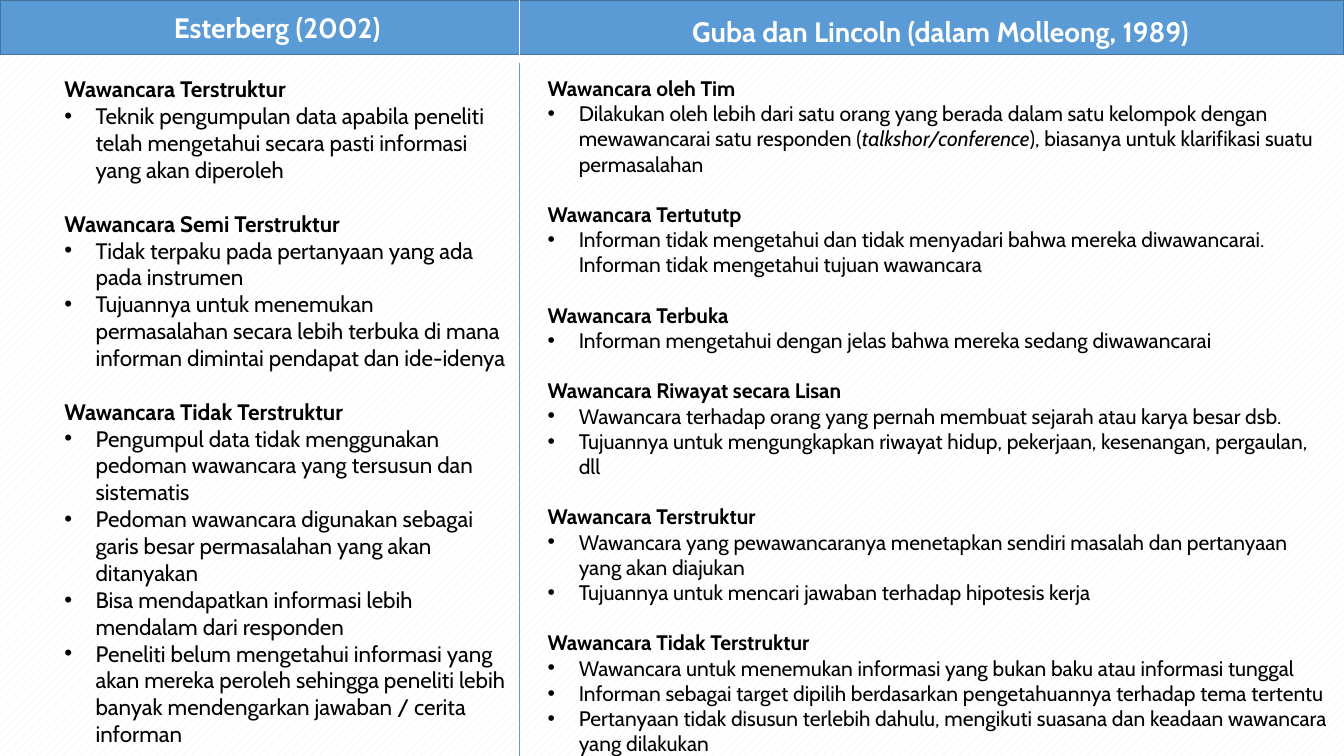
from lxml import etree
from pptx import Presentation, util as u
from pptx.dml.color import RGBColor
from pptx.enum import dml, shapes, text
from pptx.oxml import ns

WHITE = RGBColor(0xFF, 0xFF, 0xFF)
BLACK = RGBColor(0x00, 0x00, 0x00)
HATCH = RGBColor(0xED, 0xED, 0xED)
BLUE = RGBColor(0x5B, 0x9B, 0xD5)
DARK_BLUE = RGBColor(0x43, 0x73, 0x9E)

ESTERBERG = [
    ("Wawancara Terstruktur", [
        "Teknik pengumpulan data apabila peneliti telah mengetahui secara pasti informasi yang akan diperoleh",
    ]),
    ("Wawancara Semi Terstruktur", [
        "Tidak terpaku pada pertanyaan yang ada pada instrumen",
        "Tujuannya untuk menemukan permasalahan secara lebih terbuka di mana informan dimintai pendapat dan ide-idenya",
    ]),
    ("Wawancara Tidak Terstruktur", [
        "Pengumpul data tidak menggunakan pedoman wawancara yang tersusun dan sistematis",
        "Pedoman wawancara digunakan sebagai garis besar permasalahan yang akan ditanyakan",
        "Bisa mendapatkan informasi lebih mendalam dari responden",
        "Peneliti belum mengetahui informasi yang akan mereka peroleh sehingga peneliti lebih banyak "
        "mendengarkan jawaban / cerita informan",
    ]),
]

# Asterisks enclose italic words.
GUBA_LINCOLN = [
    ("Wawancara oleh Tim", [
        "Dilakukan oleh lebih dari satu orang yang berada dalam satu kelompok dengan mewawancarai satu "
        "responden (*talkshor/conference*), biasanya untuk klarifikasi suatu permasalahan",
    ]),
    ("Wawancara Tertututp", [
        "Informan tidak mengetahui dan tidak menyadari bahwa mereka diwawancarai. "
        "Informan tidak mengetahui tujuan wawancara",
    ]),
    ("Wawancara Terbuka", [
        "Informan mengetahui dengan jelas bahwa mereka sedang diwawancarai",
    ]),
    ("Wawancara Riwayat secara Lisan", [
        "Wawancara terhadap orang yang pernah membuat sejarah atau karya besar dsb.",
        "Tujuannya untuk mengungkapkan riwayat hidup, pekerjaan, kesenangan, pergaulan, dll",
    ]),
    ("Wawancara Terstruktur", [
        "Wawancara yang pewawancaranya menetapkan sendiri masalah dan pertanyaan yang akan diajukan",
        "Tujuannya untuk mencari jawaban terhadap hipotesis kerja",
    ]),
    ("Wawancara Tidak Terstruktur", [
        "Wawancara untuk menemukan informasi yang bukan baku atau informasi tunggal",
        "Informan sebagai target dipilih berdasarkan pengetahuannya terhadap tema tertentu",
        "Pertanyaan tidak disusun terlebih dahulu, mengikuti suasana dan keadaan wawancara yang dilakukan",
    ]),
]


class InterviewPage:
    """One slide; positions are percentages of its width and height."""

    font_name = "Cabin"
    line_height = 1.2
    indent = u.Inches(0.31)

    def __init__(self, deck):
        self.deck = deck
        self.page = deck.slides.add_slide(deck.slide_layouts[6])

    def place(self, *shares):
        """Turn alternating horizontal and vertical percentages into lengths."""
        sides = (self.deck.slide_width, self.deck.slide_height)
        return [round(sides[i % 2] * share / 100) for i, share in enumerate(shares)]

    def hatch(self, front, back):
        fill = self.page.background.fill
        fill.patterned()
        fill.pattern = dml.MSO_PATTERN.DASHED_UPWARD_DIAGONAL
        fill.fore_color.rgb = front
        fill.back_color.rgb = back

    def bar(self, area, color, edge):
        bar = self.page.shapes.add_shape(shapes.MSO_SHAPE.RECTANGLE, *self.place(*area))
        bar.shadow.inherit = False
        bar.fill.solid()
        bar.fill.fore_color.rgb = color
        bar.line.color.rgb = edge
        bar.line.width = u.Pt(1)

    def line(self, ends, color):
        line = self.page.shapes.add_connector(shapes.MSO_CONNECTOR.STRAIGHT, *self.place(*ends))
        line.line.color.rgb = color
        line.line.width = u.Pt(0.5)
        etree.SubElement(line._element.spPr, ns.qn("a:effectLst"))

    def frame(self, area):
        frame = self.page.shapes.add_textbox(*self.place(*area)).text_frame
        frame.word_wrap = True
        frame.auto_size = text.MSO_AUTO_SIZE.SHAPE_TO_FIT_TEXT
        return frame

    def add_words(self, para, words, size, color, bold=False):
        for i, part in enumerate(words.split("*")):
            span = para.add_run()
            span.text = part
            style = {"name": self.font_name, "size": u.Pt(size), "bold": bold, "italic": i % 2 == 1}
            for name, value in style.items():
                setattr(span.font, name, value)
            span.font.color.rgb = color

    def title(self, area, words):
        para = self.frame(area).paragraphs[0]
        para.alignment = text.PP_ALIGN.CENTER
        self.add_words(para, words, 20, WHITE, bold=True)

    def bullet(self, para):
        props = para._p.get_or_add_pPr()
        props.set("marL", str(self.indent))
        props.set("indent", str(-self.indent))
        etree.SubElement(props, ns.qn("a:buFont"), typeface="Arial")
        etree.SubElement(props, ns.qn("a:buChar"), char="•")

    def topics(self, area, groups, size):
        """Bold headings with bullets, one empty line's height between groups."""
        frame = self.frame(area)
        for i, (heading, points) in enumerate(groups):
            para = frame.add_paragraph() if i else frame.paragraphs[0]
            if i:
                para.space_before = u.Pt(size * self.line_height)
            self.add_words(para, heading, size, BLACK, bold=True)
            for point in points:
                para = frame.add_paragraph()
                self.bullet(para)
                self.add_words(para, point, size, BLACK)


def main():
    deck = Presentation()
    deck.slide_width, deck.slide_height = u.Inches(13.33), u.Inches(7.5)
    page = InterviewPage(deck)
    divider, margin = 38.63, 4.05

    page.hatch(HATCH, WHITE)
    page.topics((margin, 9.33, 34.5, 94.67), ESTERBERG, 16)
    page.topics((40, 9.33, 60, 92.27), GUBA_LINCOLN, 15)
    page.line((divider, 0, divider, 100), BLUE)
    page.bar((0, 0, 100, 7.2), BLUE, DARK_BLUE)
    page.line((divider, 8.4, divider, 0), WHITE)
    page.title((margin, 0.8, 33.15, 5.87), "Esterberg (2002)")
    page.title((49.43, 1.2, 41.1, 5.87), "Guba dan Lincoln (dalam Molleong, 1989)")
    deck.save("out.pptx")


if __name__ == "__main__":
    main()
